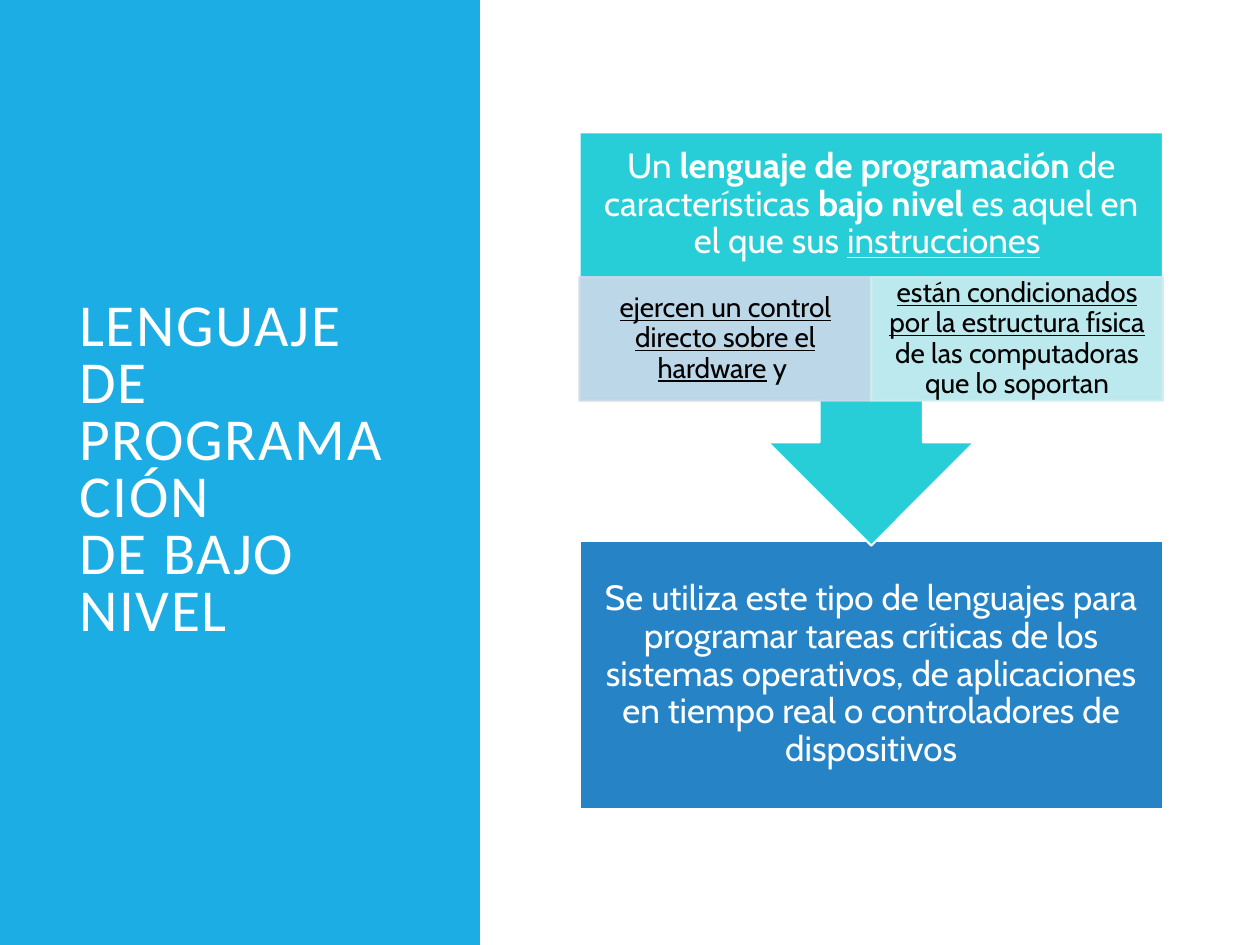
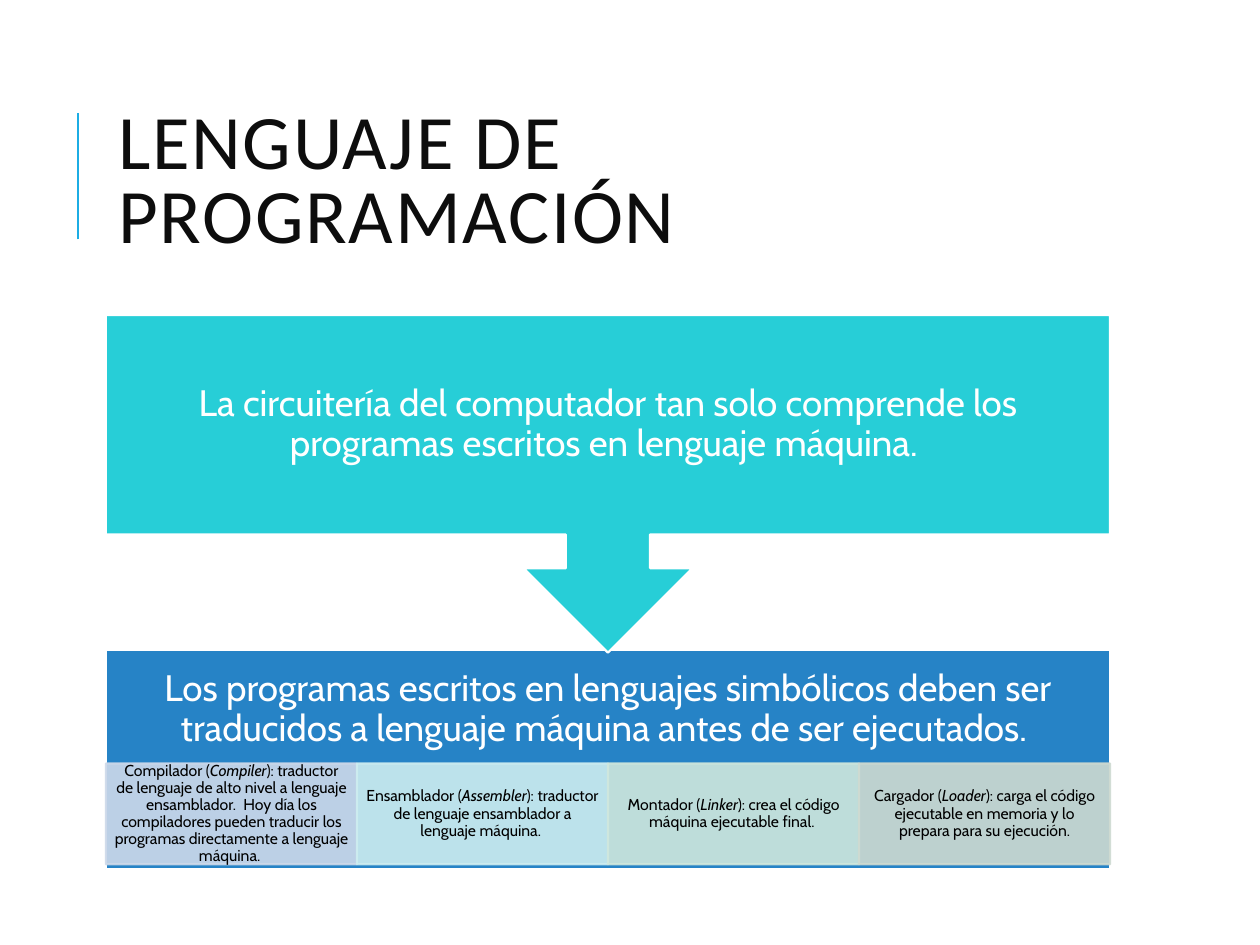
from lxml.etree import SubElement
from pptx import Presentation
from pptx.dml.color import RGBColor
from pptx.enum.shapes import MSO_CONNECTOR, MSO_SHAPE
from pptx.enum.text import MSO_ANCHOR, PP_ALIGN
from pptx.oxml.ns import qn
from pptx.util import Inches, Pt

COLORS = {
    "sky": "1CADE4", "aqua": "27CED7", "blue": "2683C6",
    "white": "FFFFFF", "black": "000000", "ink": "0D0D0D",
    "mist": "CDD9EA", "ice": "CDEDF0", "mint": "CFE7DD", "sage": "CEDAD1",
}
TINTS = ["mist", "ice", "mint", "sage"]
BODY = 0.65  # share of the callout's height above its arrow


def color(name):
    return RGBColor.from_string(COLORS[name])


def write(shape, text, size, ink="white", font="Cabin", align=PP_ALIGN.CENTER,
          leading=0.9, pad=(0.1, 0.05), track=0):
    """Fill a shape with runs: plain strings or (string, "b"/"i"/"u") pairs."""
    frame = shape.text_frame
    frame.word_wrap = True
    frame.vertical_anchor = MSO_ANCHOR.MIDDLE
    frame.margin_left = frame.margin_right = Inches(pad[0])
    frame.margin_top = frame.margin_bottom = Inches(pad[1])
    para = frame.paragraphs[0]
    para.alignment = align
    para.line_spacing = leading
    for part in text:
        words, style = (part, "") if isinstance(part, str) else part
        for row, line in enumerate(words.split("\n")):
            if row:
                para.add_line_break()
            run = para.add_run()
            run.text = line
            run.font.name = font
            run.font.size = Pt(size)
            run.font.color.rgb = color(ink)
            run.font.bold = "b" in style
            run.font.italic = "i" in style
            run.font.underline = "u" in style
            if track:
                run.font._element.set("spc", str(track * 100))


def block(slide, at, fill, edge=None, kind=MSO_SHAPE.RECTANGLE):
    shape = slide.shapes.add_shape(kind, *map(Inches, at))
    shape.shadow.inherit = False
    shape.fill.solid()
    shape.fill.fore_color.rgb = color(fill)
    if edge:
        shape.line.color.rgb = color(edge)
        shape.line.width = Pt(1.25)
    else:
        shape.line.fill.background()
    return shape


def fade(shape, share):
    """Make fill and line partly transparent."""
    for tone in shape._element.spPr.iter(qn("a:srgbClr")):
        SubElement(tone, qn("a:alpha")).set("val", str(share * 1000))


def title(slide, at, text, size, ink):
    box = slide.shapes.add_textbox(*map(Inches, at))
    write(box, [text], size, ink=ink, font="Calibri", align=PP_ALIGN.LEFT,
          leading=0.8, track=1)


def step(slide, at, fill, text, size, high=None, kind=MSO_SHAPE.RECTANGLE):
    """A process step; its text takes the top part, as tall as high."""
    host = block(slide, at, fill, "white", kind)
    if kind == MSO_SHAPE.DOWN_ARROW_CALLOUT:
        host.adjustments[3] = BODY
    if high:
        host = slide.shapes.add_textbox(*map(Inches, (*at[:3], high)))
    write(host, text, size, pad=(0.16, 0.16))


def tiles(slide, at, texts, size, pad):
    """Equal tinted boxes side by side."""
    left, top, width, height = at
    wide = width / len(texts)
    for col, (text, tint) in enumerate(zip(texts, TINTS)):
        tile = block(slide, (left + col * wide, top, wide, height), tint, tint)
        fade(tile, 90)
        write(tile, text, size, ink="black", pad=pad)


def rule(slide, x, top, end):
    line = slide.shapes.add_connector(
        MSO_CONNECTOR.STRAIGHT, *map(Inches, (x, end, x, top)))
    line.line.color.rgb = color("sky")
    line.line.width = Pt(1.5)
    SubElement(line._element.spPr, qn("a:effectLst"))


def low(slide):
    # Side band and title
    block(slide, (0, 0, 3.81, 7.5), "sky")
    title(slide, (0.53, 0.7, 2.8, 6.09),
          "LENGUAJE DE PROGRAMACIÓN \nDE BAJO NIVEL", 34, "white")

    # Use, then definition pointing to it
    left, width = 4.6, 4.63
    step(slide, (left, 4.29, width, 2.13), "blue",
         ["Se utiliza este tipo de lenguajes para programar tareas críticas "
          "de los sistemas operativos, de aplicaciones en tiempo real o "
          "controladores de dispositivos"], 20)
    step(slide, (left, 1.05, width, 3.28), "aqua",
         ["Un ", ("lenguaje de programación", "b"), " de características ",
          ("bajo nivel", "b"), " es aquel en el que sus ",
          ("instrucciones", "u"), " "],
         20, high=1.15, kind=MSO_SHAPE.DOWN_ARROW_CALLOUT)
    tiles(slide, (left, 2.2, width, 0.98), [
        [("ejercen un control directo sobre el hardware", "u"), " y "],
        [("están condicionados por la estructura física", "u"),
         " de las computadoras que lo soportan"],
    ], 16, (0.12, 0.02))


def tools(slide):
    # Title with its rule
    left, width = 0.84, 7.97
    rule(slide, 0.62, 0.9, 1.9)
    title(slide, (left, 0.64, width, 1.64), "LENGUAJE DE PROGRAMACIÓN",
          44, "ink")

    # Translation step and its four tools
    step(slide, (left, 5.16, width, 1.74), "blue",
         ["Los programas escritos en lenguajes simbólicos deben ser "
          "traducidos a lenguaje máquina antes de ser ejecutados. "],
         21, high=0.94)
    roles = [
        ("Compilador", "Compiler",
         "traductor de lenguaje de alto nivel a lenguaje ensamblador.  Hoy "
         "día los compiladores pueden traducir los programas directamente "
         "a lenguaje máquina. "),
        ("Ensamblador", "Assembler",
         "traductor de lenguaje ensamblador a lenguaje máquina. "),
        ("Montador", "Linker", "crea el código máquina ejecutable final. "),
        ("Cargador", "Loader",
         "carga el código ejecutable en memoria y lo prepara para su "
         "ejecución."),
    ]
    tiles(slide, (left, 6.06, width, 0.8),
          [[f"{name} (", (term, "i"), f"): {task}"]
           for name, term, task in roles], 9, (0.07, 0.01))

    # Starting point
    step(slide, (left, 2.5, width, 2.68), "aqua",
         ["La circuitería del computador tan solo comprende los programas "
          "escritos en lenguaje máquina. "],
         21, high=1.74, kind=MSO_SHAPE.DOWN_ARROW_CALLOUT)


def main():
    deck = Presentation()
    deck.slide_width = Inches(10)
    deck.slide_height = Inches(7.5)
    for draw in (low, tools):
        draw(deck.slides.add_slide(deck.slide_layouts[6]))
    deck.save("out.pptx")


if __name__ == "__main__":
    main()
